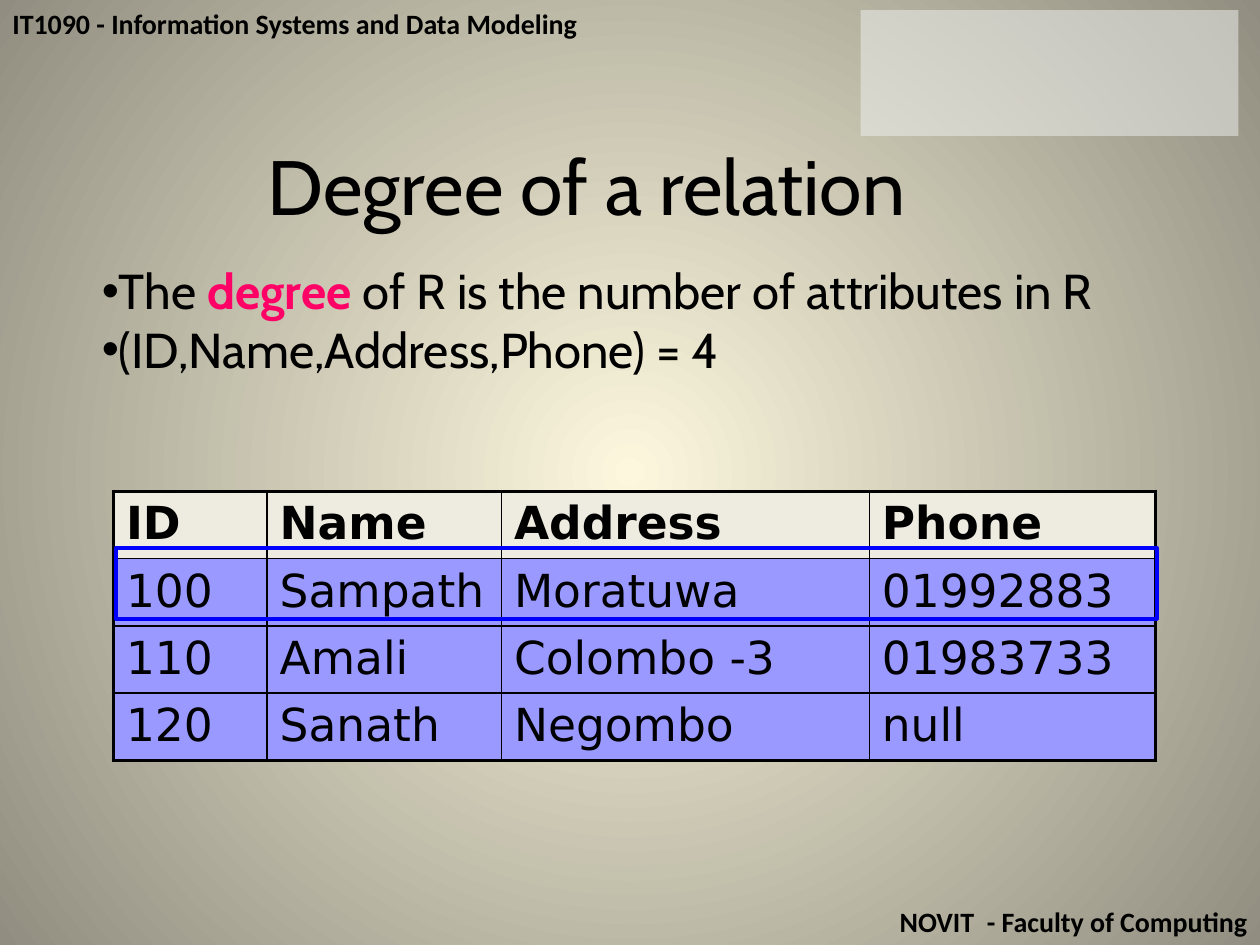
from lxml import etree
from pptx import Presentation
from pptx.dml.color import RGBColor
from pptx.enum import shapes, text
from pptx.oxml.ns import qn
from pptx.util import Inches, Pt

THEME = {
    "ink": "000000", "accent": "FF0066", "highlight": "0000FF",
    "glow": "FCF7DD", "edge": "918E81", "panel": "F2F2F2",
    "header_fill": "EEECE1", "row_fill": "9999FF",
    "running": ("Calibri", 16), "title": ("Cabin", 44),
    "body": ("Cabin", 28), "table": ("DejaVu Sans", 26),
    "thin": 1, "thick": 2.25,
}
TITLE = "Degree of a relation"
COURSE = "IT1090 - Information Systems and Data Modeling"
FACULTY = "NOVIT  - Faculty of Computing"
BULLETS = [
    [("The ", False), ("degree", True), (" of R is the number of attributes in R", False)],
    [("(ID,Name,Address,Phone) = 4", False)],
]
RELATION = [
    ("ID", "Name", "Address", "Phone"),
    ("100", "Sampath", "Moratuwa", "01992883"),
    ("110", "Amali", "Colombo -3", "01983733"),
    ("120", "Sanath", "Negombo", "null"),
]
COLUMN_WIDTHS = (1.22, 1.86, 2.92, 2.27)
ROW_HEIGHT = 0.52
BULLET_INDENT = 0.13


def rgb(name):
    return RGBColor.from_string(THEME[name])


def add_run(paragraph, words, style, bold=False, color="ink"):
    run = paragraph.add_run()
    run.text = words
    run.font.name, size = THEME[style]
    run.font.size = Pt(size)
    run.font.bold = bold
    run.font.color.rgb = rgb(color)


def add_text_box(slide, left, top, width, height):
    frame = slide.shapes.add_textbox(*map(Inches, (left, top, width, height))).text_frame
    frame.word_wrap = True
    return frame


def add_rectangle(slide, left, top, width, height):
    shape = slide.shapes.add_shape(
        shapes.MSO_SHAPE.RECTANGLE, *map(Inches, (left, top, width, height)))
    shape.shadow.inherit = False
    return shape


def set_background(slide):
    """Radial gradient, light in the centre."""
    fill = slide.background.fill
    fill.gradient()
    for stop, name in zip(fill.gradient_stops, ("glow", "edge")):
        stop.color.rgb = rgb(name)
    gradient = slide.element.find(".//" + qn("a:gradFill"))
    gradient.remove(gradient.find(qn("a:lin")))
    circle = etree.SubElement(gradient, qn("a:path"), path="circle")
    etree.SubElement(circle, qn("a:fillToRect"), l="50000", t="50000", r="50000", b="50000")


def add_running_line(slide, top, words, alignment):
    paragraph = add_text_box(slide, 0, top, 10, 0.37).paragraphs[0]
    paragraph.alignment = alignment
    add_run(paragraph, words, "running", bold=True)


def add_panel(slide):
    panel = add_rectangle(slide, 6.83, 0.08, 3, 1)
    panel.fill.solid()
    panel.fill.fore_color.rgb = rgb("panel")
    color = panel.element.spPr.find(".//" + qn("a:srgbClr"))
    etree.SubElement(color, qn("a:alpha"), val="50000")
    panel.line.fill.background()


def set_title(slide):
    title = slide.shapes.title
    title.left, title.top, title.width, title.height = map(Inches, (1.17, 1.05, 6.97, 1.41))
    title.text_frame.vertical_anchor = text.MSO_ANCHOR.TOP
    paragraph = title.text_frame.paragraphs[0]
    paragraph.alignment = text.PP_ALIGN.CENTER
    add_run(paragraph, TITLE, "title")


def add_bullets(slide):
    frame = add_text_box(slide, 0.71, 2.02, 9.29, 1.2)
    for index, runs in enumerate(BULLETS):
        paragraph = frame.add_paragraph() if index else frame.paragraphs[0]
        properties = paragraph._p.get_or_add_pPr()
        properties.set("marL", str(Inches(BULLET_INDENT)))
        properties.set("indent", str(-Inches(BULLET_INDENT)))
        etree.SubElement(properties, qn("a:buFont"), typeface="Arial")
        etree.SubElement(properties, qn("a:buChar"), char="•")
        for words, is_key in runs:
            add_run(paragraph, words, "body", is_key, "accent" if is_key else "ink")


def set_borders(cell, outer_sides):
    properties = cell._tc.get_or_add_tcPr()
    for index, (side, is_outer) in enumerate(outer_sides.items()):
        width = THEME["thick" if is_outer else "thin"]
        line = etree.Element(qn("a:ln" + side), w=str(Pt(width)))
        fill = etree.SubElement(line, qn("a:solidFill"))
        etree.SubElement(fill, qn("a:srgbClr"), val=THEME["ink"])
        properties.insert(index, line)


def add_relation_table(slide):
    row_count, column_count = len(RELATION), len(COLUMN_WIDTHS)
    table = slide.shapes.add_table(
        row_count, column_count, Inches(0.9), Inches(3.9),
        Inches(sum(COLUMN_WIDTHS)), Inches(ROW_HEIGHT * row_count)).table
    for column, width in zip(table.columns, COLUMN_WIDTHS):
        column.width = Inches(width)
    for r, values in enumerate(RELATION):
        table.rows[r].height = Inches(ROW_HEIGHT)
        for c, value in enumerate(values):
            cell = table.cell(r, c)
            cell.fill.solid()
            cell.fill.fore_color.rgb = rgb("row_fill" if r else "header_fill")
            add_run(cell.text_frame.paragraphs[0], value, "table", bold=r == 0)
            set_borders(cell, {"L": c == 0, "R": c == column_count - 1,
                               "T": r == 0, "B": r == row_count - 1})


def add_tuple_highlight(slide):
    outline = add_rectangle(slide, 0.92, 4.35, 8.26, 0.56)
    outline.fill.background()
    outline.line.color.rgb = rgb("highlight")
    outline.line.width = Pt(THEME["thick"])


def main():
    presentation = Presentation()
    presentation.slide_width, presentation.slide_height = Inches(10), Inches(7.5)
    slide = presentation.slides.add_slide(presentation.slide_layouts[5])
    set_background(slide)
    add_running_line(slide, 0, COURSE, text.PP_ALIGN.LEFT)
    add_running_line(slide, 7.13, FACULTY, text.PP_ALIGN.RIGHT)
    add_panel(slide)
    set_title(slide)
    add_bullets(slide)
    add_relation_table(slide)
    add_tuple_highlight(slide)
    presentation.save("out.pptx")


if __name__ == "__main__":
    main()
